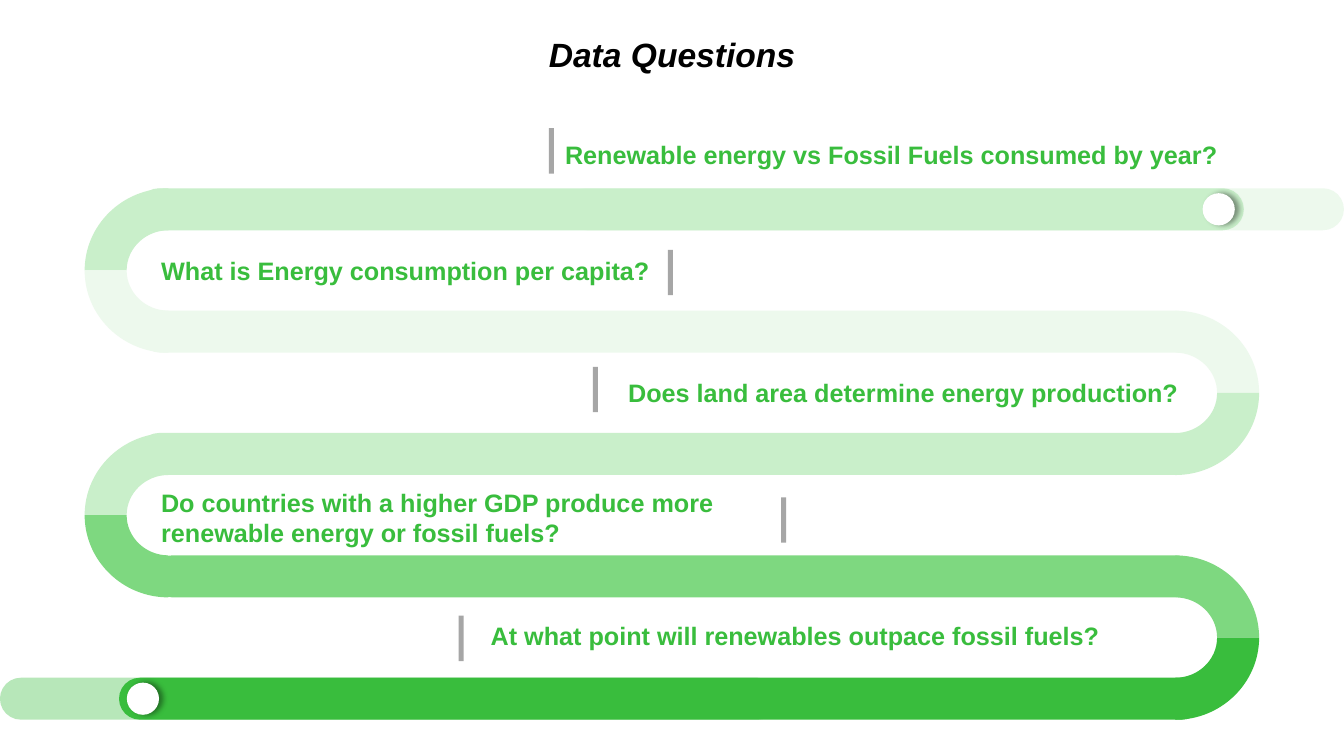
"""Build the Data Questions slide with its winding green road."""
from dataclasses import dataclass

from lxml import etree
from pptx import Presentation
from pptx.dml.color import RGBColor
from pptx.enum.shapes import MSO_SHAPE
from pptx.enum.text import MSO_ANCHOR, PP_ALIGN
from pptx.oxml.ns import qn
from pptx.util import Pt

LEFT, RIGHT, CENTER = PP_ALIGN.LEFT, PP_ALIGN.RIGHT, PP_ALIGN.CENTER
TOP, MIDDLE = MSO_ANCHOR.TOP, MSO_ANCHOR.MIDDLE
RECTANGLE, PILL, CIRCLE = MSO_SHAPE.RECTANGLE, MSO_SHAPE.ROUNDED_RECTANGLE, MSO_SHAPE.OVAL


@dataclass(frozen=True)
class Theme:
    """Colours, font and type sizes."""
    font: str = "Arial"
    title_size: int = 24
    question_size: int = 18
    black: str = "000000"
    white: str = "FFFFFF"
    grey: str = "A6A6A6"
    mist: str = "EDF9ED"
    pale: str = "C9EFCA"
    middle: str = "7ED880"
    green: str = "39BD3D"


THEME = Theme()
TITLE = "Data Questions"
QUESTIONS = [
    ("Renewable energy vs Fossil Fuels consumed by year?",
     RIGHT, (394.6, 95.8, 487.4, 51), (392, 91.6)),
    ("What is Energy consumption per capita?",
     LEFT, (108, 178.6, 502.6, 29), (477, 178.4)),
    ("Does land area determine energy production?",
     RIGHT, (343.4, 265.7, 510.5, 29), (423.4, 262)),
    ("Do countries with a higher GDP produce more renewable energy or fossil fuels?",
     LEFT, (108, 344.4, 450.7, 51), (558, 355.2)),
    ("At what point will renewables outpace fossil fuels?",
     LEFT, (343.4, 439.6, 510.5, 29), (327.6, 439.8)),
]
ROWS = [
    (THEME.pale, 98.6, 888.5),
    (THEME.mist, 99.4, 853.9),
    (THEME.pale, 98.6, 853.9),
    (THEME.middle, 108, 853.9),
    (THEME.green, 85, 859),
]
SLIDE_WIDTH, SLIDE_HEIGHT = 960, 540
TITLE_HEIGHT, TITLE_INSET = 76.3, 5
ROW_TOP, ROW_PITCH, ROAD = 134.5, 87.4, 30
TURN_X = {-1: 120.3, 1: 839.6}
TURN_RADIUS = 59.8
CURVE = 0.55
STUB_WIDTH = 556
KNOB = 23
KNOB_LEFTS = [(0, 859), (4, 90.6)]
TICK_WIDTH, TICK_HEIGHT = 3.6, 32.4
RIGHT_INSET = 12.2


def paint(shape, color):
    shape.fill.solid()
    shape.fill.fore_color.rgb = RGBColor.from_string(color)
    shape.line.fill.background()
    shape.shadow.inherit = False


def add_block(slide, kind, left, top, width, height, color):
    shape = slide.shapes.add_shape(kind, Pt(left), Pt(top), Pt(width), Pt(height))
    paint(shape, color)
    if kind == PILL:
        shape.adjustments[0] = 0.5
    return shape


def set_alpha(color_element, percent):
    etree.SubElement(color_element, qn("a:alpha"), val=str(percent * 1000))


def row_top(row):
    return ROW_TOP + row * ROW_PITCH


def bend(line, start, end, corner):
    """Turn a straight segment into a quarter curve."""
    curve = etree.Element(qn("a:cubicBezTo"))
    controls = [tuple(a + CURVE * (c - a) for a, c in zip(point, corner)) for point in (start, end)]
    for x, y in controls + [end]:
        etree.SubElement(curve, qn("a:pt"), x=str(round(x)), y=str(round(y)))
    line.getparent().replace(line, curve)


def add_turn(slide, row, side, direction):
    center_x = TURN_X[side]
    center_y = row_top(row) + ROAD / 2 + direction * ROW_PITCH / 2
    outer_y = (ROW_PITCH + ROAD) / 2
    inner_x = center_x + side * (TURN_RADIUS - ROAD)
    corners = [
        (center_x + side * TURN_RADIUS, center_y),
        (center_x, center_y - direction * outer_y),
        (center_x, center_y - direction * (outer_y - ROAD)),
        (inner_x, center_y),
    ]
    points = [(Pt(x), Pt(y)) for x, y in corners]
    builder = slide.shapes.build_freeform(*points[0], scale=1.0)
    builder.add_line_segments(points[1:], close=True)
    turn = builder.convert_to_shape()
    paint(turn, ROWS[row][0])
    geometry = turn.element.spPr.find(qn("a:custGeom"))
    tip, outer, inner, inner_tip = [
        (int(point.get("x")), int(point.get("y"))) for point in geometry.iter(qn("a:pt"))][:4]
    lines = list(geometry.iter(qn("a:lnTo")))
    bend(lines[0], tip, outer, (tip[0], outer[1]))
    bend(lines[2], inner, inner_tip, (inner_tip[0], inner[1]))


def add_road(slide):
    stub = add_block(slide, PILL, 0, row_top(4), STUB_WIDTH, ROAD, THEME.green)
    set_alpha(stub.element.spPr.find(qn("a:solidFill"))[0], 36)
    add_block(slide, PILL, SLIDE_WIDTH - STUB_WIDTH, row_top(0), STUB_WIDTH, ROAD, THEME.mist)
    last = len(ROWS) - 1
    for row, (color, left, right) in enumerate(ROWS):
        add_block(slide, PILL, left, row_top(row), right - left, ROAD, color)
        exit_side = 1 if row % 2 else -1
        if row > 0:
            add_turn(slide, row, -exit_side, -1)
        if row < last:
            add_turn(slide, row, exit_side, 1)


def add_knob(slide, row, left):
    knob = add_block(slide, CIRCLE, left, row_top(row) + (ROAD - KNOB) / 2, KNOB, KNOB, THEME.white)
    effects = knob.element.spPr.find(qn("a:effectLst"))
    shadow = etree.SubElement(effects, qn("a:outerShdw"), blurRad=str(Pt(4)), dist=str(Pt(3)),
                              dir="0", algn="l", rotWithShape="0")
    set_alpha(etree.SubElement(shadow, qn("a:srgbClr"), val=THEME.black), 40)


def write(shape, text, size, color, alignment, anchor, italic=False):
    frame = shape.text_frame
    frame.text = text
    frame.word_wrap = True
    frame.vertical_anchor = anchor
    paragraph = frame.paragraphs[0]
    paragraph.alignment = alignment
    font = paragraph.runs[0].font
    font.name, font.size, font.bold, font.italic = THEME.font, Pt(size), True, italic
    font.color.rgb = RGBColor.from_string(color)


def add_title(slide):
    title = slide.shapes.title
    title.left, title.top = Pt(0), Pt(0)
    title.width, title.height = Pt(SLIDE_WIDTH), Pt(TITLE_HEIGHT)
    paint(title, THEME.white)
    write(title, TITLE, THEME.title_size, THEME.black, CENTER, MIDDLE, italic=True)
    title.text_frame.margin_top = Pt(TITLE_INSET)


def main():
    presentation = Presentation()
    presentation.slide_width, presentation.slide_height = Pt(SLIDE_WIDTH), Pt(SLIDE_HEIGHT)
    slide = presentation.slides.add_slide(presentation.slide_layouts.get_by_name("Title Only"))
    add_title(slide)
    add_road(slide)
    for row, left in KNOB_LEFTS:
        add_knob(slide, row, left)
    for text, alignment, bounds, (tick_left, tick_top) in QUESTIONS:
        box = slide.shapes.add_textbox(*map(Pt, bounds))
        write(box, text, THEME.question_size, THEME.green, alignment, TOP)
        if alignment == RIGHT:
            box.text_frame.margin_right = Pt(RIGHT_INSET)
        add_block(slide, RECTANGLE, tick_left, tick_top, TICK_WIDTH, TICK_HEIGHT, THEME.grey)
    presentation.save("out.pptx")


if __name__ == "__main__":
    main()
